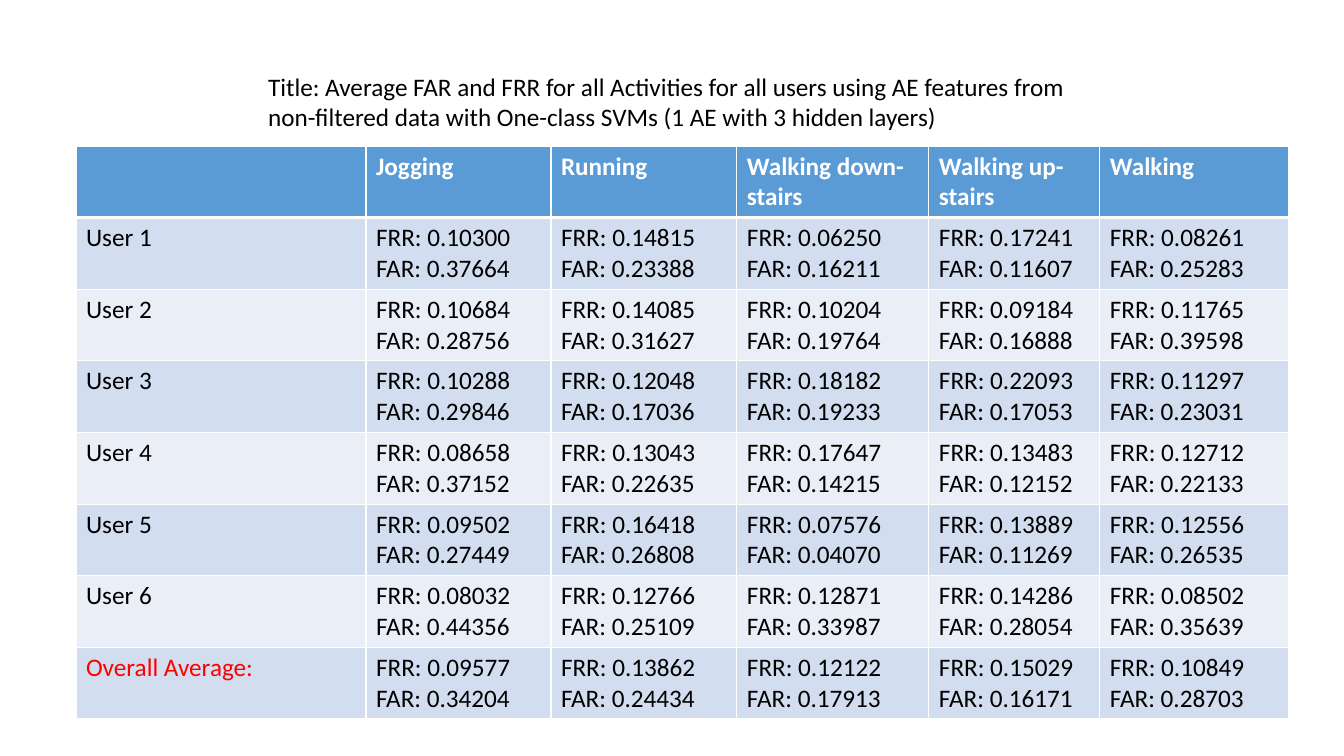
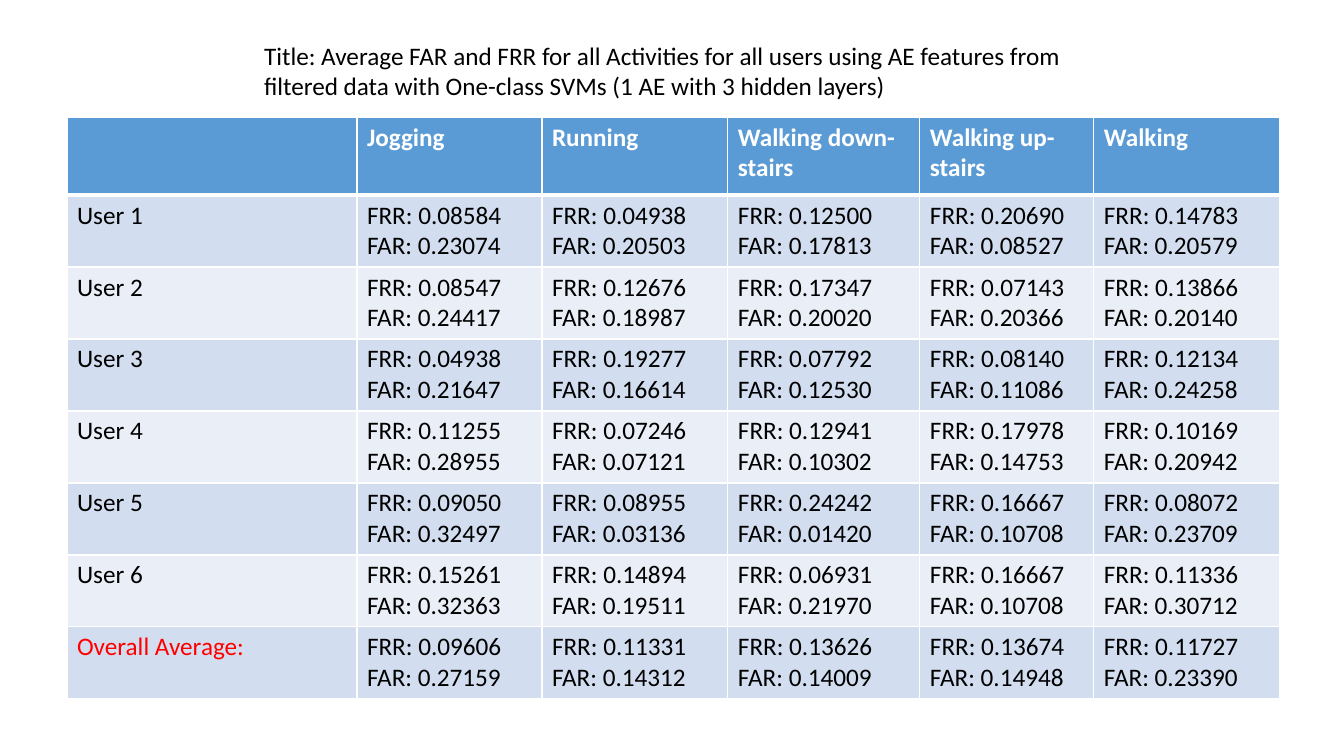
from dataclasses import dataclass

from lxml.etree import SubElement
from pptx import Presentation
from pptx.dml.color import RGBColor
from pptx.enum.text import MSO_ANCHOR, MSO_AUTO_SIZE, PP_ALIGN
from pptx.oxml.ns import qn
from pptx.util import Emu, Pt


@dataclass(frozen=True)
class Theme:
    font: str = "Calibri"
    size: int = 18
    text: str = "000000"
    header_text: str = "FFFFFF"
    accent: str = "FF0000"
    header: str = "5B9BD5"
    bands: tuple = ("D2DEEF", "EAEFF7")
    border: str = "FFFFFF"
    thin: int = 1
    thick: int = 3


HEADERS = ["", "Jogging", "Running", "Walking down-stairs", "Walking up-stairs", "Walking"]
LABELS = [f"User {n}" for n in range(1, 7)] + ["Overall Average:"]
TITLE = ("Title: Average FAR and FRR for all Activities for all users using AE features "
         "from {} data with One-class SVMs (1 AE with 3 hidden layers)")

NON_FILTERED = [
    [(0.10300, 0.37664), (0.14815, 0.23388), (0.06250, 0.16211), (0.17241, 0.11607), (0.08261, 0.25283)],
    [(0.10684, 0.28756), (0.14085, 0.31627), (0.10204, 0.19764), (0.09184, 0.16888), (0.11765, 0.39598)],
    [(0.10288, 0.29846), (0.12048, 0.17036), (0.18182, 0.19233), (0.22093, 0.17053), (0.11297, 0.23031)],
    [(0.08658, 0.37152), (0.13043, 0.22635), (0.17647, 0.14215), (0.13483, 0.12152), (0.12712, 0.22133)],
    [(0.09502, 0.27449), (0.16418, 0.26808), (0.07576, 0.04070), (0.13889, 0.11269), (0.12556, 0.26535)],
    [(0.08032, 0.44356), (0.12766, 0.25109), (0.12871, 0.33987), (0.14286, 0.28054), (0.08502, 0.35639)],
    [(0.09577, 0.34204), (0.13862, 0.24434), (0.12122, 0.17913), (0.15029, 0.16171), (0.10849, 0.28703)],
]
FILTERED = [
    [(0.08584, 0.23074), (0.04938, 0.20503), (0.12500, 0.17813), (0.20690, 0.08527), (0.14783, 0.20579)],
    [(0.08547, 0.24417), (0.12676, 0.18987), (0.17347, 0.20020), (0.07143, 0.20366), (0.13866, 0.20140)],
    [(0.04938, 0.21647), (0.19277, 0.16614), (0.07792, 0.12530), (0.08140, 0.11086), (0.12134, 0.24258)],
    [(0.11255, 0.28955), (0.07246, 0.07121), (0.12941, 0.10302), (0.17978, 0.14753), (0.10169, 0.20942)],
    [(0.09050, 0.32497), (0.08955, 0.03136), (0.24242, 0.01420), (0.16667, 0.10708), (0.08072, 0.23709)],
    [(0.15261, 0.32363), (0.14894, 0.19511), (0.06931, 0.21970), (0.16667, 0.10708), (0.11336, 0.30712)],
    [(0.09606, 0.27159), (0.11331, 0.14312), (0.13626, 0.14009), (0.13674, 0.14948), (0.11727, 0.23390)],
]


def px(n):
    return Emu(round(n * 914400 / 100.8))


class Deck:
    """Hold the theme and the current slide, and add elements to it."""

    def __init__(self, theme):
        self.theme = theme
        self.prs = Presentation()
        self.prs.slide_width, self.prs.slide_height = px(1344), px(756)
        self.slide = None

    def add_slide(self):
        self.slide = self.prs.slides.add_slide(self.prs.slide_layouts[5])

    def style(self, p, color, bold=False):
        p.alignment = PP_ALIGN.LEFT
        p.font.name, p.font.size, p.font.bold = self.theme.font, Pt(self.theme.size), bold
        p.font.color.rgb = RGBColor.from_string(color)

    def title(self, text, x, y, w, h):
        sp = self.slide.shapes.title
        sp.left, sp.top, sp.width, sp.height = map(px, (x, y, w, h))
        tf = sp.text_frame
        tf.text = text
        tf.word_wrap = True
        tf.auto_size = MSO_AUTO_SIZE.NONE
        tf.vertical_anchor = MSO_ANCHOR.TOP
        self.style(tf.paragraphs[0], self.theme.text)

    def borders(self, cell, top, bottom):
        tc_pr = cell._tc.get_or_add_tcPr()
        for side, width in zip("LRTB", (self.theme.thin, self.theme.thin, top, bottom)):
            ln = SubElement(tc_pr, qn(f"a:ln{side}"), w=str(Pt(width)))
            fill = SubElement(ln, qn("a:solidFill"))
            SubElement(fill, qn("a:srgbClr"), val=self.theme.border)

    def cell(self, cell, text, row, color):
        t = self.theme
        self.borders(cell, t.thick if row == 1 else t.thin, t.thin if row else t.thick)
        cell.fill.solid()
        fill = t.bands[(row - 1) % 2] if row else t.header
        cell.fill.fore_color.rgb = RGBColor.from_string(fill)
        cell.text_frame.text = text
        for p in cell.text_frame.paragraphs:
            self.style(p, color, bold=row == 0)

    def table(self, rows, x, y, widths, heights):
        t = self.theme
        frame = self.slide.shapes.add_table(
            len(rows), len(widths), px(x), px(y), px(sum(widths)), px(sum(heights)))
        table = frame.table
        for column, width in zip(table.columns, widths):
            column.width = px(width)
        for i, (row, height) in enumerate(zip(rows, heights)):
            table.rows[i].height = px(height)
            for j, text in enumerate(row):
                if i == 0:
                    color = t.header_text
                else:
                    color = t.accent if i == len(rows) - 1 and j == 0 else t.text
                self.cell(table.cell(i, j), text, i, color)


def results(deck, data, kind, title_at, table_at, last_widths, header_h, row_h):
    deck.add_slide()
    deck.title(TITLE.format(kind), *title_at)
    rows = [HEADERS]
    for label, rates in zip(LABELS, data):
        rows.append([label] + [f"FRR: {frr:.5f}\nFAR: {far:.5f}" for frr, far in rates])
    deck.table(rows, *table_at, [290, 185, 186, 192, *last_widths],
               [header_h] + [row_h] * len(data))


def main():
    deck = Deck(Theme())
    results(deck, NON_FILTERED, "non-filtered", (258, 66, 820, 72), (76, 146), (171, 189), 71, 71)
    results(deck, FILTERED, "filtered", (254, 35, 820, 102), (67, 117), (174, 186), 78, 72)
    deck.prs.save("out.pptx")


if __name__ == "__main__":
    main()
